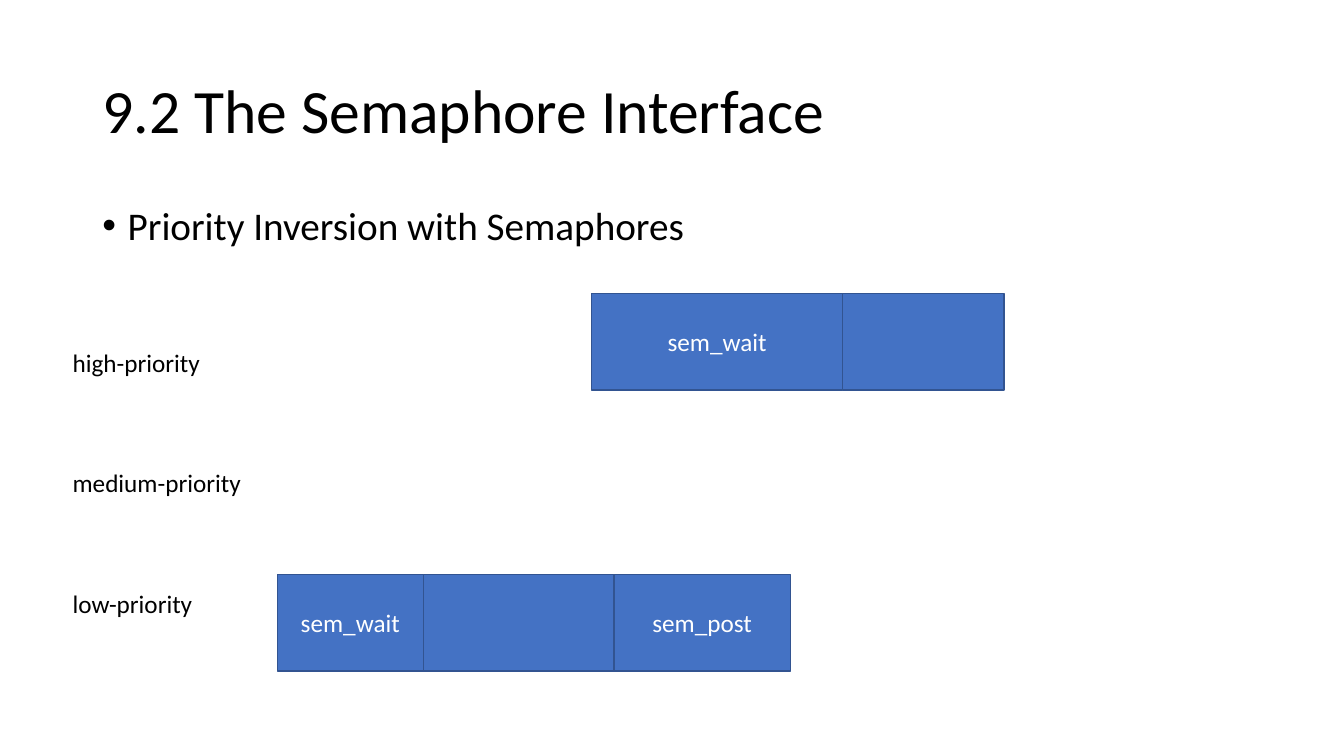
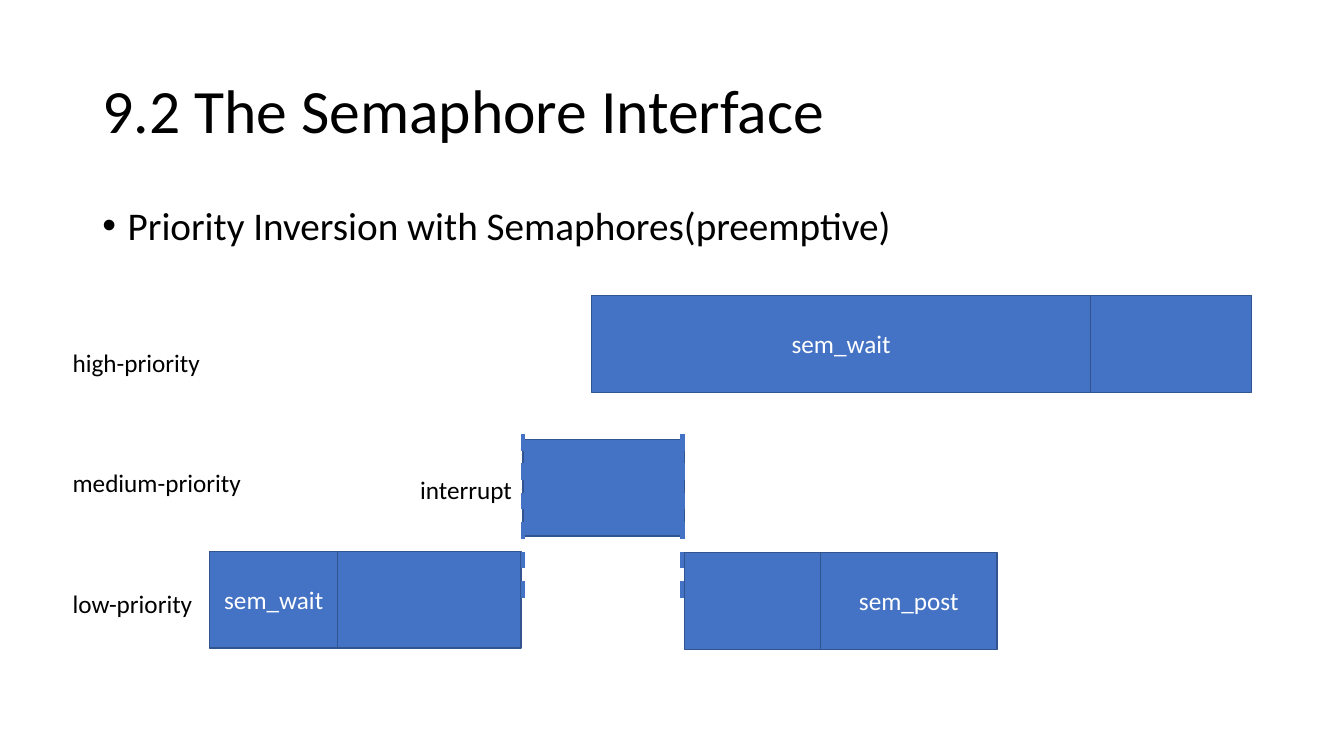
from pptx import Presentation
from pptx.dml.color import RGBColor
from pptx.enum.dml import MSO_LINE
from pptx.enum.shapes import MSO_CONNECTOR, MSO_SHAPE
from pptx.enum.text import MSO_ANCHOR, PP_ALIGN
from pptx.oxml.ns import qn
from pptx.util import Pt
from lxml import etree

RECT = MSO_SHAPE.RECTANGLE
LINE = MSO_CONNECTOR.STRAIGHT
DASH = MSO_LINE.DASH
LEFT, MID = PP_ALIGN.LEFT, PP_ALIGN.CENTER
CENTER = MSO_ANCHOR.MIDDLE

FONT = "Calibri"
COLORS = {name: RGBColor.from_string(code) for name, code in {
    "ink": "000000", "bar": "4472C4", "edge": "325491", "light": "FFFFFF",
}.items()}
BAR_H = 69.2


def style(para, size, color="ink", align=LEFT):
    """Set font, size, colour and alignment of a paragraph."""
    para.font.name = FONT
    para.font.size = Pt(size)
    para.font.color.rgb = COLORS[color]
    para.alignment = align


def draw_bars(slide, top, bars):
    """Draw the time bars of one task; each is (left, width, label)."""
    for left, width, label in bars:
        bar = slide.shapes.add_shape(RECT, Pt(left), Pt(top), Pt(width), Pt(BAR_H))
        bar.shadow.inherit = False
        bar.fill.solid()
        bar.fill.fore_color.rgb = COLORS["bar"]
        bar.line.color.rgb = COLORS["edge"]
        bar.line.width = Pt(1)
        if label:
            frame = bar.text_frame
            frame.text = label
            frame.vertical_anchor = CENTER
            style(frame.paragraphs[0], 18, "light", MID)


deck = Presentation()
deck.slide_width, deck.slide_height = Pt(960), Pt(540)

# Title, bullet and task names of both slides
slides = []
for topic in ("Priority Inversion with Semaphores",
              "Priority Inversion with Semaphores(preemptive)"):
    slide = deck.slides.add_slide(deck.slide_layouts[1])
    title, body = slide.placeholders
    for holder, text, size, top, height in (
            (title, "9.2 The Semaphore Interface", 44, 28.8, 104.4),
            (body, topic, 28, 144, 342.7)):
        holder.left, holder.top = Pt(66), Pt(top)
        holder.width, holder.height = Pt(828), Pt(height)
        holder.text_frame.text = text
        para = holder.text_frame.paragraphs[0]
        style(para, size)
        para.line_spacing = 0.9
    title.text_frame.vertical_anchor = CENTER
    para.space_before = Pt(10)
    props = para._p.get_or_add_pPr()
    props.set("marL", str(Pt(18)))
    props.set("indent", str(Pt(-18)))

    names = slide.shapes.add_textbox(Pt(44.8), Pt(244.2), Pt(168), Pt(203.8)).text_frame
    names.word_wrap = True
    names.text = "high-priority\nmedium-priority\nlow-priority"
    for row, para in enumerate(names.paragraphs):
        style(para, 18)
        para.space_before = Pt(64.5 if row else 0)
    slides.append(slide)

plain, preempt = slides

# Low task holds the semaphore while the high task waits
draw_bars(plain, 209.5, [(422.6, 179.3, "sem_wait"), (601.9, 115.2, "")])
draw_bars(plain, 410.2, [(297.4, 167.8, ""), (438.5, 126, "sem_post"),
                         (198, 104.4, "sem_wait")])

# Medium task interrupts the low task
draw_bars(preempt, 393.8, [(232.6, 139.7, ""), (149.8, 91.4, "sem_wait")])
draw_bars(preempt, 211, [(422.6, 356.4, "sem_wait"), (779, 115.2, "")])
note = preempt.shapes.add_textbox(Pt(293), Pt(335.5), Pt(80.7), Pt(29)).text_frame
note.word_wrap = False
note.text = "interrupt"
style(note.paragraphs[0], 18)
draw_bars(preempt, 313.8, [(373.7, 115.2, "")])
for x in (487.5, 373.7):
    mark = preempt.shapes.add_connector(LINE, Pt(x), Pt(427), Pt(x), Pt(302.4))
    mark.line.color.rgb = COLORS["bar"]
    mark.line.width = Pt(3)
    mark.line.dash_style = DASH
    etree.SubElement(mark._element.spPr, qn("a:effectLst"))
draw_bars(preempt, 394.6, [(488.9, 97.2, ""), (586.1, 126, "sem_post")])

deck.save("out.pptx")
